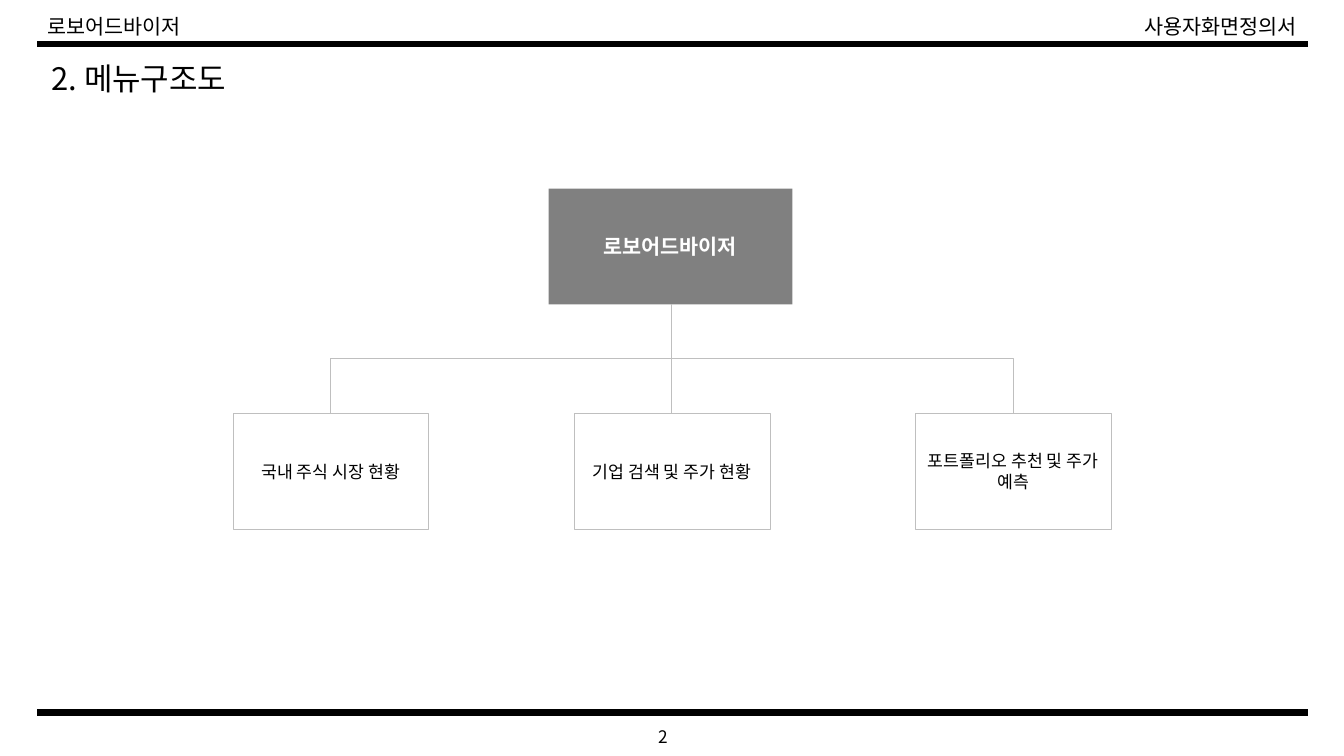
from pptx import Presentation
from pptx.dml.color import RGBColor
from pptx.enum.shapes import MSO_CONNECTOR, MSO_SHAPE
from pptx.enum.text import MSO_ANCHOR, PP_ALIGN
from pptx.oxml.ns import qn
from pptx.util import Inches, Pt
from lxml import etree

# Content
TITLE = "2. 메뉴구조도"
ROOT = "로보어드바이저"
MENUS = ["국내 주식 시장 현황", "기업 검색 및 주가 현황", "포트폴리오 추천 및 주가 예측"]
HEADER_LEFT, HEADER_RIGHT, PAGE = "로보어드바이저", "사용자화면정의서", "2"

COLORS = {"black": "000000", "white": "FFFFFF", "gray": "808080", "line": "BFBFBF"}
FONT = "Noto Sans CJK KR"

# Layout, in inches
LEFT, RIGHT = 0.37, 12.97
RULES_Y = (0.44, 7.07)
BOX_H = 1.15
ROOT_X, ROOT_Y, ROOT_W = 5.44, 1.87, 2.42
MENU_X, MENU_Y, MENU_W, MENU_STEP = 2.31, 4.1, 1.94, 3.385
TRUNK_X, TRUNK_Y = 6.66, ROOT_Y + BOX_H

prs = Presentation()
prs.slide_width, prs.slide_height = Inches(13.33), Inches(7.5)
s = prs.slides.add_slide(prs.slide_layouts[5])


def rgb(name):
    return RGBColor.from_string(COLORS[name])


def write(sp, text, size, color="black", align=PP_ALIGN.LEFT, font=FONT, bold=False):
    tf = sp.text_frame
    tf.word_wrap = True
    tf.text = text
    p = tf.paragraphs[0]
    p.alignment = align
    r = p.runs[0]
    r.font.size, r.font.bold, r.font.name = Pt(size), bold, font
    r.font.color.rgb = rgb(color)
    etree.SubElement(r.font._element, qn("a:ea")).set("typeface", FONT)
    return tf


def add_text(x, y, w, h, text, size, **style):
    sp = s.shapes.add_textbox(Inches(x), Inches(y), Inches(w), Inches(h))
    return write(sp, text, size, **style)


def add_box(x, y, w, text, size, fill, line=None, **style):
    sp = s.shapes.add_shape(MSO_SHAPE.RECTANGLE, Inches(x), Inches(y), Inches(w), Inches(BOX_H))
    sp.shadow.inherit = False
    sp.fill.solid()
    sp.fill.fore_color.rgb = rgb(fill)
    if line:
        sp.line.color.rgb, sp.line.width = rgb(line), Pt(0.25)
    else:
        sp.line.fill.background()
    tf = write(sp, text, size, align=PP_ALIGN.CENTER, **style)
    tf.vertical_anchor = MSO_ANCHOR.MIDDLE
    return tf


def add_line(kind, x1, y1, x2, y2, color, width):
    c = s.shapes.add_connector(kind, Inches(x1), Inches(y1), Inches(x2), Inches(y2))
    c.line.color.rgb, c.line.width = rgb(color), Pt(width)
    etree.SubElement(c._element.spPr, qn("a:effectLst"))
    return c


def add_branch(x):
    """Link the root to a menu: down, across, down."""
    drop, dx = MENU_Y - TRUNK_Y, x - TRUNK_X
    if abs(dx) < 0.05:
        add_line(MSO_CONNECTOR.STRAIGHT, TRUNK_X, TRUNK_Y, TRUNK_X, MENU_Y, "line", 0.5)
        return
    # An elbow runs sideways first, so it is laid out turned, then rotated
    mid_x, mid_y = (x + TRUNK_X) / 2, (TRUNK_Y + MENU_Y) / 2
    side = drop / 2 if dx > 0 else -drop / 2
    c = add_line(MSO_CONNECTOR.ELBOW, mid_x + side, mid_y - abs(dx) / 2,
                 mid_x - side, mid_y + abs(dx) / 2, "line", 0.5)
    turn = 270 if dx > 0 else 90
    c._element.spPr.find(qn("a:xfrm")).set("rot", str(turn * 60000))


# Header and footer
for y in RULES_Y:
    add_line(MSO_CONNECTOR.STRAIGHT, LEFT, y, RIGHT, y, "black", 4.5)
add_text(LEFT, 0.09, 5.63, 0.35, HEADER_LEFT, 14.8)
add_text(7.05, 0.09, 5.91, 0.35, HEADER_RIGHT, 14.8, align=PP_ALIGN.RIGHT, font="Arial")
add_text(6.43, 7.16, 0.42, 0.31, PAGE, 12.3)

# Title
title = s.shapes.title
title.left, title.top, title.width, title.height = map(Inches, (0.41, 0.56, 12.53, 0.47))
tf = write(title, TITLE, 22.1)
tf.vertical_anchor = MSO_ANCHOR.MIDDLE
tf.paragraphs[0].line_spacing = 0.9

# Menu tree
tf = add_box(ROOT_X, ROOT_Y, ROOT_W, ROOT, 14.8, "gray", color="white", bold=True)
tf.margin_left = tf.margin_right = Inches(0.14)
tf.margin_top = tf.margin_bottom = Inches(0.07)
for i, menu in enumerate(MENUS):
    x = MENU_X + i * MENU_STEP
    add_box(x, MENU_Y, MENU_W, menu, 12.3, "white", line="line")
    add_branch(x + MENU_W / 2)

prs.save("out.pptx")
